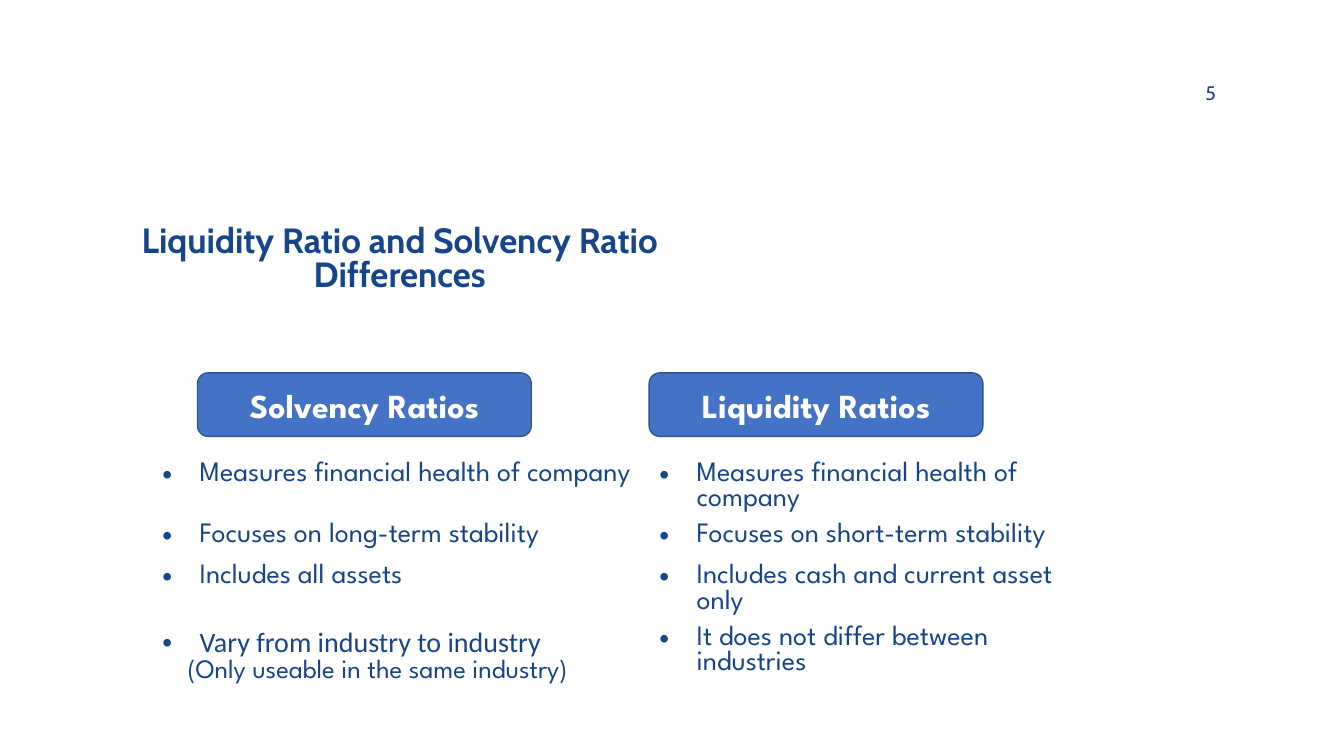
from lxml.etree import SubElement
from pptx import Presentation
from pptx.dml.color import RGBColor
from pptx.enum.shapes import MSO_SHAPE as Preset
from pptx.enum.text import MSO_ANCHOR as Anchor, PP_ALIGN as Align
from pptx.oxml.ns import qn
from pptx.util import Inches, Pt

NAVY = RGBColor(0x17, 0x45, 0x8C)
NUMBER_BLUE = RGBColor(0x24, 0x45, 0x87)
BUTTON_BLUE = RGBColor(0x44, 0x72, 0xC4)
BUTTON_EDGE = RGBColor(0x32, 0x54, 0x91)
WHITE = RGBColor(0xFF, 0xFF, 0xFF)
HEADING_FONT = "Cabin"
BODY_FONT = "League Spartan"

SLIDE_WIDTH = Inches(40) // 3
SLIDE_HEIGHT = Inches(7.5)
COLUMN_SHARES = (36.98, 33.3)
ROW_SHARE = 5.4
ITEM_LEADING = Pt(18.4)
HEADERS = (("Solvency Ratios", 14.7), ("Liquidity Ratios", 48.3))
COMPARISON = (
    ("Measures financial health of company", "Measures financial health of company"),
    ("Focuses on long-term stability", "Focuses on short-term stability"),
    ("Includes all assets", "Includes cash and current asset only"),
    ("Vary from industry to industry", "It does not differ between industries"),
)
INDUSTRY_NOTE = "(Only useable in the same industry)"


def across(percent):
    return int(SLIDE_WIDTH * percent / 100)


def down(percent):
    return int(SLIDE_HEIGHT * percent / 100)


def area(left, top, width, height):
    return across(left), down(top), across(width), down(height)


def write(para, text, size, font=BODY_FONT, color=NAVY, bold=False):
    para.text = text
    for span in para.runs:
        span.font.size = Pt(size)
        span.font.name = font
        span.font.color.rgb = color
        span.font.bold = bold


def indent(para, margin, bullet=False):
    properties = para._p.get_or_add_pPr()
    properties.set("marL", str(Inches(margin)))
    properties.set("indent", str(Inches(-margin if bullet else 0)))
    if bullet:
        SubElement(properties, qn("a:buFont")).set("typeface", "Arial")
        SubElement(properties, qn("a:buChar")).set("char", "•")


def add_text(page, place, text, size, color=NAVY, bold=False):
    box = page.shapes.add_textbox(*place)
    box.text_frame.word_wrap = True
    para = box.text_frame.paragraphs[0]
    write(para, text, size, HEADING_FONT, color, bold)
    return box.text_frame, para


def add_header(page, text, left):
    button = page.shapes.add_shape(
        Preset.FLOWCHART_ALTERNATE_PROCESS, *area(left, 49.33, 24.83, 8.4))
    button.shadow.inherit = False
    button.fill.solid()
    button.fill.fore_color.rgb = BUTTON_BLUE
    button.line.color.rgb = BUTTON_EDGE
    button.line.width = Pt(1)
    button.text_frame.vertical_anchor = Anchor.MIDDLE
    para = button.text_frame.paragraphs[0]
    para.alignment = Align.CENTER
    write(para, text, 24, color=WHITE, bold=True)


def add_comparison(page):
    place = area(11.33, 60.4, sum(COLUMN_SHARES), ROW_SHARE * len(COMPARISON))
    table = page.shapes.add_table(len(COMPARISON), len(COLUMN_SHARES), *place).table
    table.first_row = False
    table.horz_banding = False
    for column, share in zip(table.columns, COLUMN_SHARES):
        column.width = across(share)
    for row, texts in zip(table.rows, COMPARISON):
        row.height = down(ROW_SHARE)
        for cell, text in zip(row.cells, texts):
            cell.fill.background()
            para = cell.text_frame.paragraphs[0]
            write(para, text, 20)
            para.line_spacing = ITEM_LEADING
            indent(para, 0.37, bullet=True)
    industry = table.cell(len(COMPARISON) - 1, 0).text_frame
    industry.paragraphs[0].line_spacing = None
    industry.paragraphs[0].runs[0].font.name = "Calibri"
    note = industry.add_paragraph()
    write(note, INDUSTRY_NOTE, 19)
    indent(note, 0.25)


def main():
    deck = Presentation()
    deck.slide_width = SLIDE_WIDTH
    deck.slide_height = SLIDE_HEIGHT
    page = deck.slides.add_slide(deck.slide_layouts[6])

    number_frame, _ = add_text(page, area(88.95, 9.6, 5.03, 5.33), "5", 14, NUMBER_BLUE)
    number_frame.vertical_anchor = Anchor.MIDDLE

    _, title = add_text(page, area(5.93, 29.33, 47.62, 10.93),
                        "Liquidity Ratio and Solvency Ratio Differences", 25, bold=True)
    title.alignment = Align.CENTER
    title.line_spacing = 0.8
    title.space_before = Pt(10)

    add_comparison(page)
    for text, left in HEADERS:
        add_header(page, text, left)
    deck.save("out.pptx")


if __name__ == "__main__":
    main()
